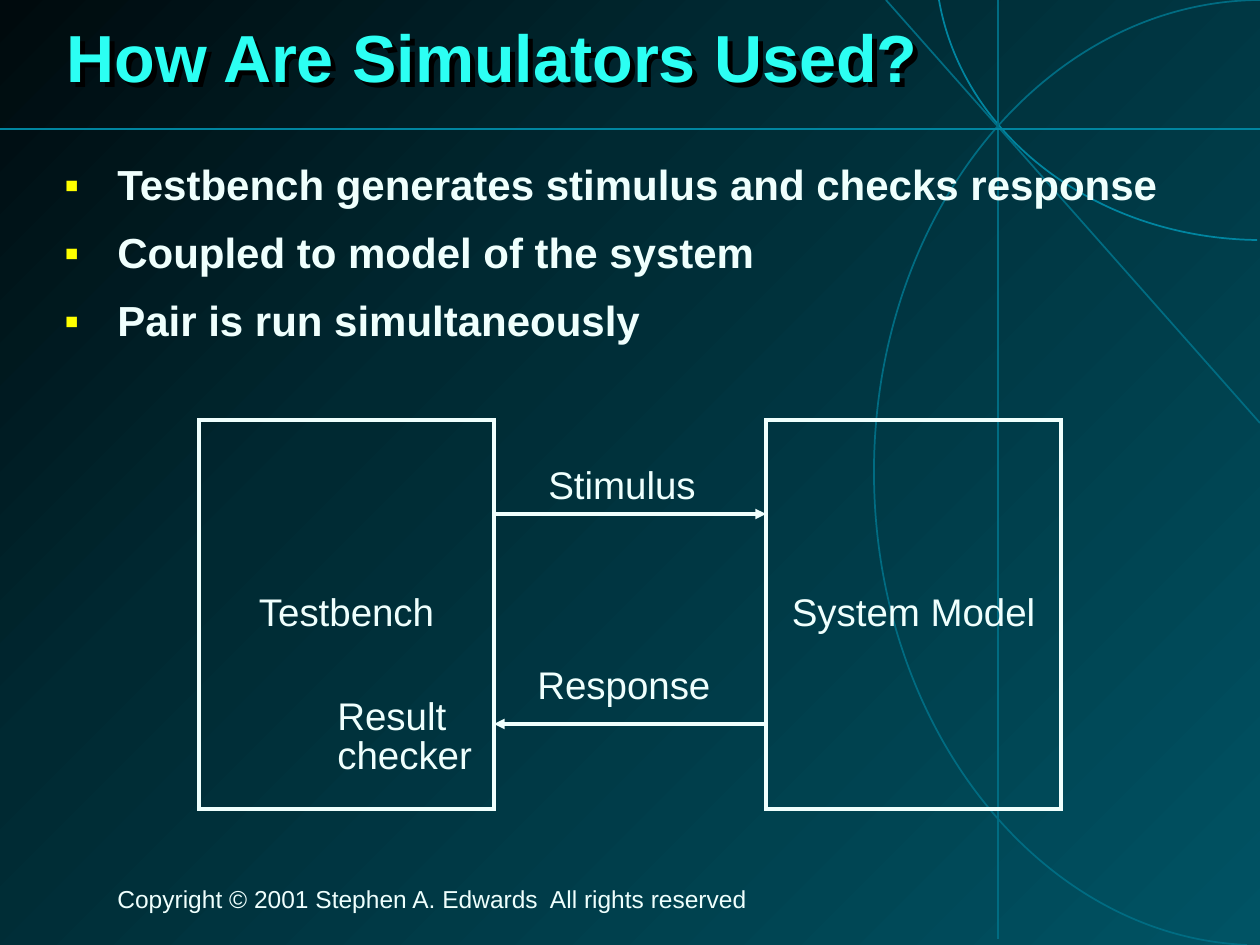
from copy import deepcopy

from lxml.etree import SubElement
from pptx import Presentation
from pptx.dml.color import RGBColor
from pptx.enum.shapes import MSO_CONNECTOR, MSO_SHAPE
from pptx.enum.text import MSO_ANCHOR, MSO_AUTO_SIZE, PP_ALIGN
from pptx.oxml.ns import qn
from pptx.util import Pt

PX = 914400 / 126
WHITE, CYAN = "EFFFFD", "2CFFF3"
BRIGHT, DIM = "0085A0", "006C82"
color = RGBColor.from_string


def px(*lengths):
    return [round(length * PX) for length in lengths]


def style(paragraph, size, spacing, hue=WHITE, bold=False):
    paragraph.line_spacing = spacing
    paragraph.font.name = "Arial"
    paragraph.font.size = Pt(size)
    paragraph.font.bold = bold
    paragraph.font.color.rgb = color(hue)


prs = Presentation()
prs.slide_width, prs.slide_height = px(1260, 945)
slide = prs.slides.add_slide(prs.slide_layouts[5])
shapes = slide.shapes

backdrop = slide.background.fill
backdrop.gradient()
backdrop.gradient_angle = 315
first_stop = backdrop.gradient_stops[0]._gs
first_stop.addnext(deepcopy(first_stop))
for stop, (position, hue) in zip(
    backdrop.gradient_stops, [(0, "000A0D"), (0.35, "002932"), (1, "005364")]
):
    stop.position = position
    stop.color.rgb = color(hue)

arcs = [
    (DIM, [(1247, 945), (1040, 936), (874, 727), (874, 472),
           (874, 212), (1047, 0), (1262, 0)]),
    (BRIGHT, [(1257, 240), (1095, 238), (959, 134), (938, -6)]),
]
for hue, points in arcs:
    builder = shapes.build_freeform(*points[0], scale=PX)
    builder.add_line_segments(points[1:], close=False)
    arc = builder.convert_to_shape()
    segments = list(arc._element.iter(qn("a:lnTo")))
    outline = segments[0].getparent()
    for start in range(0, len(segments), 3):
        curve = SubElement(outline, qn("a:cubicBezTo"))
        for segment in segments[start:start + 3]:
            curve.append(segment[0])
            outline.remove(segment)
    arc.shadow.inherit = False
    arc.fill.background()
    arc.line.color.rgb = color(hue)
    arc.line.width = Pt(1)

lines = [
    (1260, 423, 886, 0, DIM, 1, False),
    (998, 0, 998, 939, DIM, 1, False),
    (0, 129, 1260, 129, BRIGHT, 1, False),
    (494, 514, 766, 514, WHITE, 2, True),
    (766, 724, 494, 724, WHITE, 2, True),
]
for x1, y1, x2, y2, hue, width, arrow in lines:
    line = shapes.add_connector(MSO_CONNECTOR.STRAIGHT, *px(x1, y1, x2, y2))
    line.line.color.rgb = color(hue)
    line.line.width = Pt(width)
    if arrow:
        SubElement(line.line._get_or_add_ln(), qn("a:tailEnd"), type="triangle")
    SubElement(line._element.spPr, qn("a:effectLst"))

title = shapes.title
title.left, title.top, title.width, title.height = px(54, 0, 1160, 123)
title.fill.background()
effects = SubElement(title._element.spPr, qn("a:effectLst"))
shadow = SubElement(effects, qn("a:outerShdw"), dist="50800", dir="2700000")
SubElement(shadow, qn("a:srgbClr"), val="000000")
title.text_frame.text = "How Are Simulators Used?"
title.text_frame.vertical_anchor = MSO_ANCHOR.MIDDLE
heading = title.text_frame.paragraphs[0]
heading.alignment = PP_ALIGN.LEFT
style(heading, 38, 0.87, CYAN, True)

points_box = shapes.add_textbox(*px(52, 157, 1149, 704)).text_frame
points_box.word_wrap = True
points_box.text = "\n".join([
    "Testbench generates stimulus and checks response",
    "Coupled to model of the system",
    "Pair is run simultaneously",
])
for index, point in enumerate(points_box.paragraphs):
    properties = point._p.get_or_add_pPr()
    indent = px(53)[0]
    properties.set("marL", str(indent))
    properties.set("indent", str(-indent))
    bullet_color = SubElement(properties, qn("a:buClr"))
    SubElement(bullet_color, qn("a:srgbClr"), val="FFFF00")
    SubElement(properties, qn("a:buFont"), typeface="Arial")
    SubElement(properties, qn("a:buChar"), char="▪")
    style(point, 24, 0.93, bold=True)
    if index:
        point.space_before = Pt(12)

for name, left in [("Testbench", 199), ("System Model", 766)]:
    block = shapes.add_shape(MSO_SHAPE.RECTANGLE, *px(left, 420, 295, 389))
    block.shadow.inherit = False
    block.fill.background()
    block.line.color.rgb = color(WHITE)
    block.line.width = Pt(2)
    SubElement(block.line._get_or_add_ln(), qn("a:miter"), lim="800000")
    block.text_frame.word_wrap = False
    block.text_frame.vertical_anchor = MSO_ANCHOR.MIDDLE
    block.text_frame.text = name
    block.text_frame.paragraphs[0].alignment = PP_ALIGN.CENTER
    style(block.text_frame.paragraphs[0], 22, 0.85)

labels = [
    ("Stimulus", 536, 462, 210, 52, 22),
    ("Response", 525, 662, 210, 52, 22),
    ("Result checker", 325, 693, 189, 91, 22),
    ("Copyright © 2001 Stephen A. Edwards  All rights reserved", 105, 882, 1018, 38, 14),
]
for text, left, top, width, height, size in labels:
    label = shapes.add_textbox(*px(left, top, width, height)).text_frame
    label.word_wrap = True
    label.auto_size = MSO_AUTO_SIZE.SHAPE_TO_FIT_TEXT
    label.text = text
    style(label.paragraphs[0], size, 0.85)

prs.save("out.pptx")
